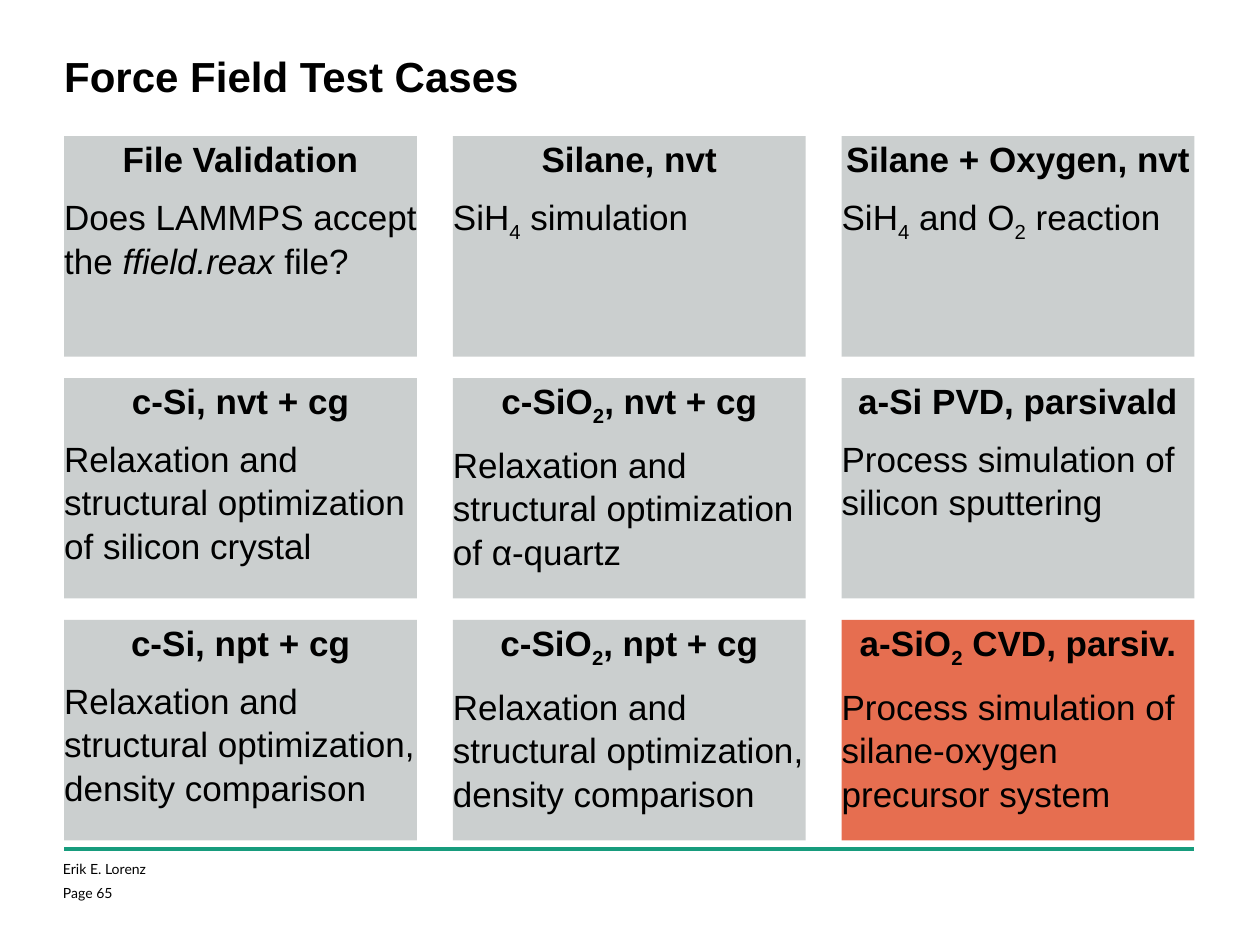
from lxml import etree
from pptx import Presentation
from pptx.dml.color import RGBColor
from pptx.enum import shapes, text
from pptx.oxml.ns import qn
from pptx.util import Inches, Pt

HUES = {"ink": "000000", "card": "CBCFCF", "mark": "E66E50", "rule": "179C7D"}
LEFT, WIDE = 0.51, 8.97
COLS, ROWS = 3, 3
TOP, HIGH = 1.08, 1.75
CARD = 2.8
STEP_X = (WIDE - CARD) / (COLS - 1)
STEP_Y = 1.92

CASES = [
    ("File Validation", "Does LAMMPS accept the *ffield.reax* file?"),
    ("Silane, nvt", "SiH_4_ simulation"),
    ("Silane + Oxygen, nvt", "SiH_4_ and O_2_ reaction"),
    ("c-Si, nvt + cg", "Relaxation and structural optimization of silicon crystal"),
    ("c-SiO_2_, nvt + cg", "Relaxation and structural optimization of α-quartz"),
    ("a-Si PVD, parsivald", "Process simulation of silicon sputtering"),
    ("c-Si, npt + cg", "Relaxation and structural optimization, density comparison"),
    ("c-SiO_2_, npt + cg", "Relaxation and structural optimization, density comparison"),
    ("a-SiO_2_ CVD, parsiv.", "Process simulation of silane-oxygen precursor system"),
]


def hue(name):
    return RGBColor.from_string(HUES[name])


def place(box):
    return [Inches(side) for side in box]


def prep(frame):
    frame.word_wrap = True
    frame.auto_size = text.MSO_AUTO_SIZE.NONE
    frame.vertical_anchor = text.MSO_ANCHOR.TOP
    frame.margin_left = frame.margin_right = 0
    frame.margin_top = frame.margin_bottom = 0


def write(para, words, size, face="Arial", bold=False):
    para.alignment = text.PP_ALIGN.LEFT
    for i, part in enumerate(words.split("_")):
        for j, bit in enumerate(part.split("*")):
            if not bit:
                continue
            run = para.add_run()
            run.text = bit
            font = run.font
            font.name, font.size, font.bold = face, Pt(size), bold
            font.italic = j % 2 == 1
            font.color.rgb = hue("ink")
            if i % 2:
                run._r.get_or_add_rPr().set("baseline", "-25000")


def head(slide, box, words):
    title = slide.shapes.title
    title.left, title.top, title.width, title.height = place(box)
    prep(title.text_frame)
    para = title.text_frame.paragraphs[0]
    write(para, words, 24, bold=True)
    para.line_spacing = 1.1


def card(slide, box, name, note, fill):
    shape = slide.shapes.add_shape(shapes.MSO_SHAPE.RECTANGLE, *place(box))
    shape.shadow.inherit = False
    shape.fill.solid()
    shape.fill.fore_color.rgb = hue(fill)
    shape.line.fill.background()
    frame = shape.text_frame
    prep(frame)
    top, body = frame.paragraphs[0], frame.add_paragraph()
    write(top, name, 20, bold=True)
    write(body, note, 20)
    top.alignment = text.PP_ALIGN.CENTER
    for para in (top, body):
        para.line_spacing = 1.04
        para.space_after = Pt(8)


def grid(slide, box):
    left, top = box[:2]
    for i, (name, note) in enumerate(CASES):
        row, col = divmod(i, COLS)
        spot = (left + col * STEP_X, top + row * STEP_Y, CARD, HIGH)
        last = i == COLS * ROWS - 1
        card(slide, spot, name, note, "mark" if last else "card")


def foot(slide, box, lines):
    left, top, wide, high = box
    ends = place((left, top, left + wide, top))
    rule = slide.shapes.add_connector(shapes.MSO_CONNECTOR.STRAIGHT, *ends)
    rule.line.color.rgb = hue("rule")
    rule.line.width = Pt(2.5)
    etree.SubElement(rule._element.spPr, qn("a:effectLst"))
    label = slide.shapes.add_textbox(*place((left - 0.01, top + 0.09, 3.17, high)))
    frame = label.text_frame
    prep(frame)
    for i, words in enumerate(lines):
        para = frame.add_paragraph() if i else frame.paragraphs[0]
        write(para, words, 8, "Lato")
        if i:
            para.space_before = Pt(4)


def main():
    deck = Presentation()
    deck.slide_width, deck.slide_height = Inches(10), Inches(7.5)
    slide = deck.slides.add_slide(deck.slide_layouts[5])
    foot(slide, (LEFT, 6.74, WIDE, 0.34), ["Erik E. Lorenz", "Page 65"])
    head(slide, (LEFT, 0.36, WIDE, 0.55), "Force Field Test Cases")
    grid(slide, (LEFT, TOP))
    deck.save("out.pptx")


if __name__ == "__main__":
    main()
